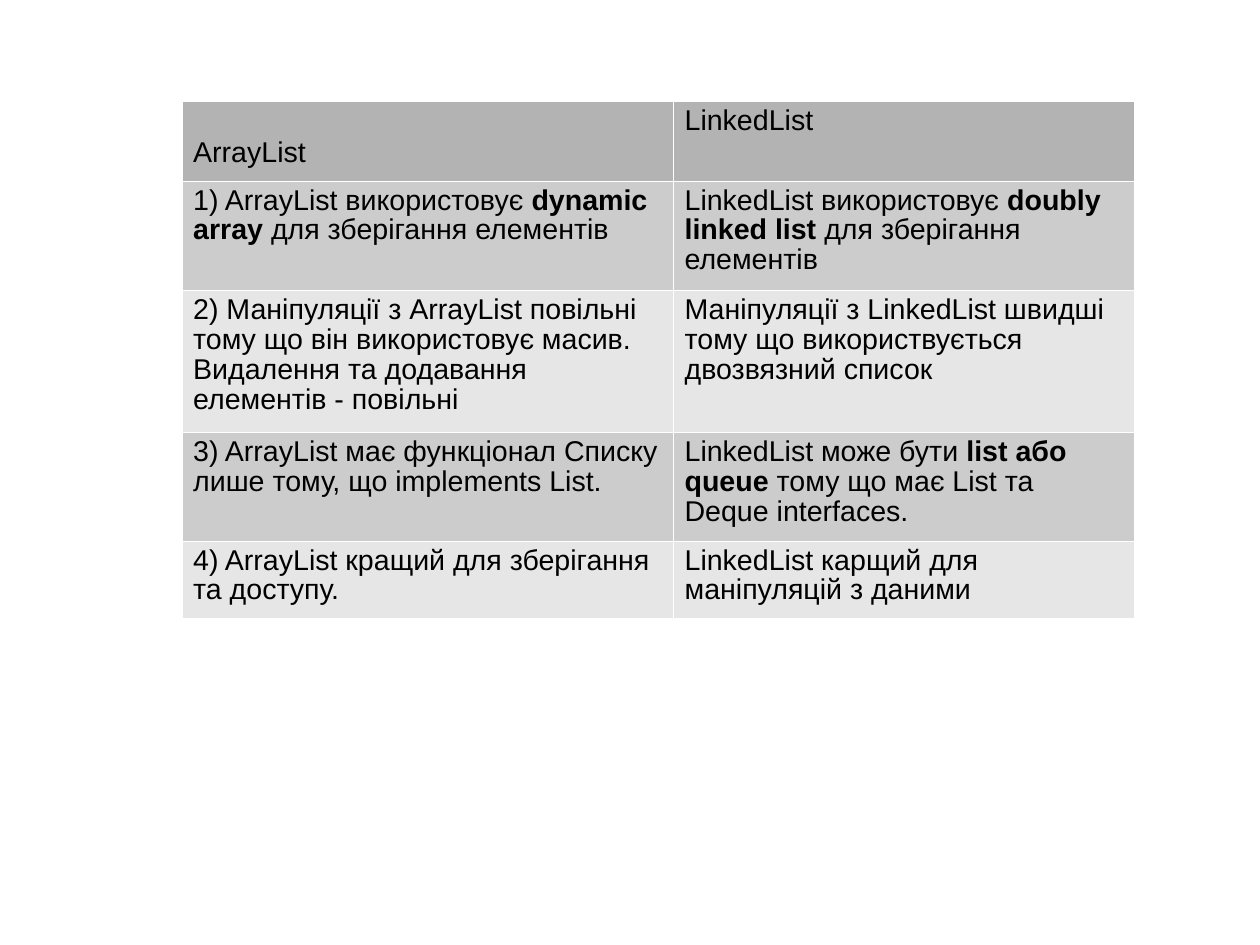
from lxml.etree import SubElement
from pptx import Presentation
from pptx.dml.color import RGBColor
from pptx.oxml.ns import qn
from pptx.util import Emu, Inches, Pt

SLIDE_SIZE = {"slide_width": Emu(10080625), "slide_height": Emu(7559675)}
COLORS = {"text": "000000", "border": "FFFFFF", "header": "B3B3B3",
          "odd": "CCCCCC", "even": "E6E6E6"}
FONT = {"name": "Arial", "size": Pt(18)}
CELL_MARGINS = {"margin_left": Inches(0.1), "margin_right": Inches(0.1),
                "margin_top": Inches(0.05), "margin_bottom": Inches(0.05)}
HEADER_DROP = Inches(0.28)
COLUMN_WIDTHS = [4.3, 4.03]
ROW_HEIGHTS = [0.7, 0.96, 1.24, 0.95, 0.68]

# Asterisks enclose bold words.
COMPARISON = [
    ("ArrayList", "LinkedList"),
    ("1) ArrayList використовує *dynamic array* для зберігання елементів",
     "LinkedList використовує *doubly linked list* для зберігання елементів"),
    ("2) Маніпуляції з ArrayList повільні тому що він використовує масив. "
     "Видалення та додавання елементів - повільні",
     "Маніпуляції з LinkedList швидші тому що використвується двозвязний список"),
    ("3) ArrayList має функціонал Списку лише тому, що implements List.",
     "LinkedList може бути* list або queue* тому що має List та Deque interfaces."),
    ("4) ArrayList кращий для зберігання та доступу.",
     "LinkedList карщий для маніпуляцій з даними"),
]


def set_attributes(target, values):
    for name, value in values.items():
        setattr(target, name, value)


def add_borders(cell):
    """Draw thin lines on all sides; call before the cell gets its fill."""
    properties = cell._tc.get_or_add_tcPr()
    for side in ("lnL", "lnR", "lnT", "lnB"):
        line = SubElement(properties, qn(f"a:{side}"), w=str(Pt(0.06)))
        fill = SubElement(line, qn("a:solidFill"))
        SubElement(fill, qn("a:srgbClr"), val=COLORS["border"])


def write_cell(cell, text, color):
    add_borders(cell)
    cell.fill.solid()
    cell.fill.fore_color.rgb = RGBColor.from_string(COLORS[color])
    set_attributes(cell, CELL_MARGINS)
    paragraph = cell.text_frame.paragraphs[0]
    paragraph.line_spacing = 0.93
    for index, part in enumerate(text.split("*")):
        run = paragraph.add_run()
        run.text = part
        set_attributes(run.font, FONT)
        run.font.bold = index % 2 == 1
        run.font.color.rgb = RGBColor.from_string(COLORS["text"])


def add_comparison_table(slide):
    frame = slide.shapes.add_table(
        len(ROW_HEIGHTS), len(COLUMN_WIDTHS), Inches(1.59), Inches(0.88),
        Inches(sum(COLUMN_WIDTHS)), Inches(sum(ROW_HEIGHTS)))
    table = frame.table
    set_attributes(table, {"first_row": False, "horz_banding": False})
    for column, width in zip(table.columns, COLUMN_WIDTHS):
        column.width = Inches(width)
    for index, (row, height) in enumerate(zip(table.rows, ROW_HEIGHTS)):
        row.height = Inches(height)
        color = "header" if index == 0 else "odd" if index % 2 else "even"
        for cell, text in zip(row.cells, COMPARISON[index]):
            write_cell(cell, text, color)
    table.cell(0, 0).margin_top += HEADER_DROP


def main():
    presentation = Presentation()
    set_attributes(presentation, SLIDE_SIZE)
    slide = presentation.slides.add_slide(presentation.slide_layouts[6])
    add_comparison_table(slide)
    presentation.save("out.pptx")


if __name__ == "__main__":
    main()
